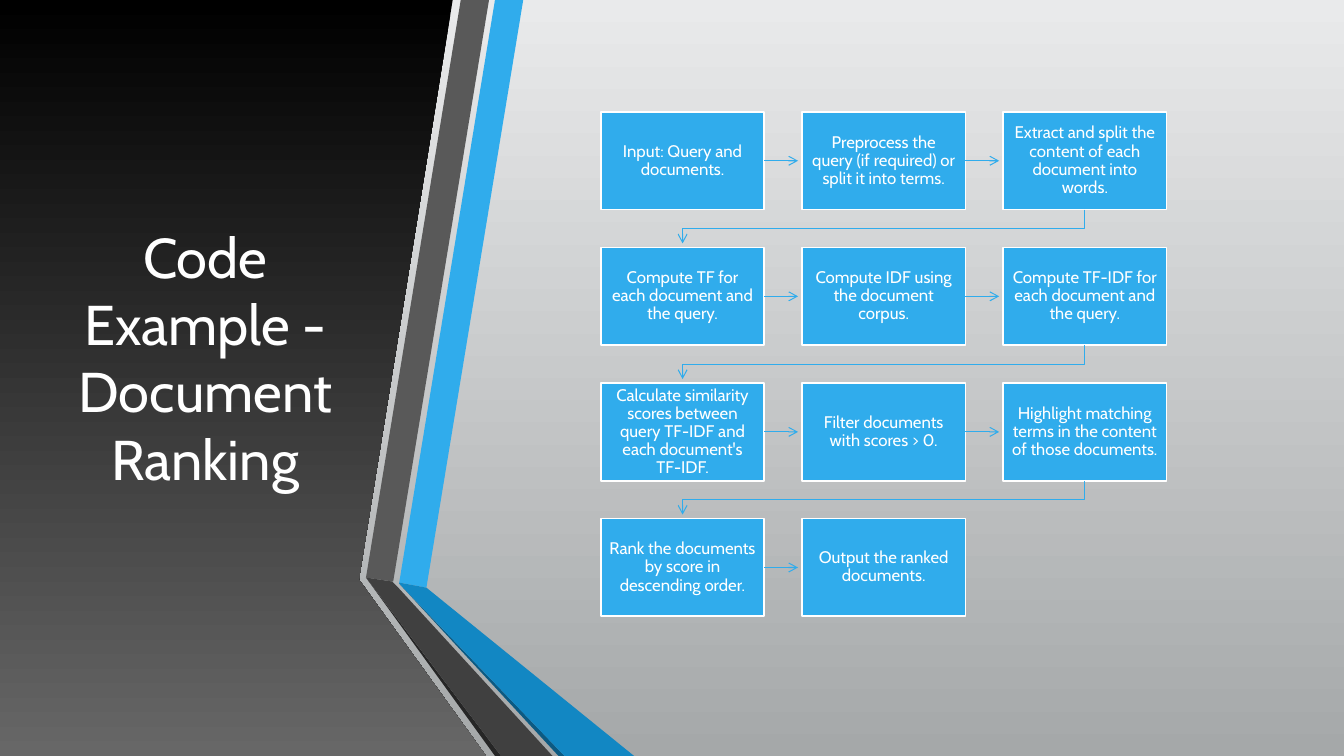
from lxml import etree
from pptx import Presentation, util as u
from pptx.dml import color
from pptx.enum import shapes, text
from pptx.oxml import ns

WIDTH, HEIGHT = 13.33, 7.5
FONT, BLUE, WHITE = "Cabin", "30ACEC", "FFFFFF"
LEFT, TOP = 5.96, 1.11
BOX_WIDTH, BOX_HEIGHT = 1.62, 0.97
COLUMN_STEP, ROW_STEP = 1.995, 1.345
COLUMNS = 3
ARROW_GAP = 0.04

STEPS = [
    "Input: Query and documents.",
    "Preprocess the query (if required) or split it into terms.",
    "Extract and split the content of each document into words.",
    "Compute TF for each document and the query.",
    "Compute IDF using the document corpus.",
    "Compute TF-IDF for each document and the query.",
    "Calculate similarity scores between query TF-IDF and each document's TF-IDF.",
    "Filter documents with scores > 0.",
    "Highlight matching terms in the content of those documents.",
    "Rank the documents by score in descending order.",
    "Output the ranked documents.",
]

RIBBONS = [
    (BLUE, [(3.96, 5.78), (4.23, 5.83), (5.19, 0), (4.91, 0)]),
    ("595959", [(4.85, 0), (4.57, 0), (3.63, 5.73), (3.9, 5.77)]),
    ("262626", [(3.63, 5.73), (4.91, 7.5), (4.97, 7.5)]),
    ("0C5A82", [(3.96, 5.79), (5.54, 7.5), (5.6, 7.5)]),
    ("1287C3", [(3.96, 5.79), (5.6, 7.5), (6.29, 7.5), (4.23, 5.83), (3.96, 5.78)]),
    ("404040", [(5.48, 7.5), (3.95, 5.83), (3.89, 5.77), (3.63, 5.73), (4.97, 7.5)]),
]
PANEL = [(0, 0), (4.49, 0), (3.56, 5.75), (4.82, 7.5), (0, 7.5)]


def rgb(value):
    """Turn a hex string into a colour."""
    return color.RGBColor.from_string(value)


def fade(fill, top, bottom):
    """Fill with a vertical gradient."""
    fill.gradient()
    fill.gradient_angle = 270
    for stop, value in zip(fill.gradient_stops, (top, bottom)):
        stop.color.rgb = rgb(value)


def add_outline(page, points, close=True):
    """Add a freeform through points given in inches."""
    corners = [(u.Inches(x), u.Inches(y)) for x, y in points]
    builder = page.shapes.build_freeform(*corners[0])
    builder.add_line_segments(corners[1:], close=close)
    outline = builder.convert_to_shape()
    outline.shadow.inherit = False
    outline.line.fill.background()
    return outline


def write(shape, words, size, inset):
    """Put centred white text in a shape."""
    frame = shape.text_frame
    frame.word_wrap = True
    frame.vertical_anchor = text.MSO_ANCHOR.MIDDLE
    frame.margin_left = frame.margin_right = u.Inches(inset)
    frame.margin_top = frame.margin_bottom = u.Inches(inset)
    frame.text = words
    para = frame.paragraphs[0]
    para.alignment = text.PP_ALIGN.CENTER
    span = para.runs[0]
    span.font.name = FONT
    span.font.size = u.Pt(size)
    span.font.color.rgb = rgb(WHITE)
    return para


def style_arrow(shape):
    """Give a path a thin blue line with an open arrowhead."""
    shape.line.color.rgb = rgb(BLUE)
    shape.line.width = u.Pt(0.75)
    etree.SubElement(shape.line._get_or_add_ln(), ns.qn("a:tailEnd"), type="arrow")


def box_corner(index):
    """Find the left and top of a step in the grid."""
    row, column = divmod(index, COLUMNS)
    return LEFT + column * COLUMN_STEP, TOP + row * ROW_STEP


def add_step(page, index, words):
    """Add one step box."""
    left, top = box_corner(index)
    box = page.shapes.add_shape(
        shapes.MSO_SHAPE.RECTANGLE, u.Inches(left), u.Inches(top),
        u.Inches(BOX_WIDTH), u.Inches(BOX_HEIGHT))
    box.shadow.inherit = False
    box.fill.solid()
    box.fill.fore_color.rgb = rgb(BLUE)
    box.line.color.rgb = rgb(WHITE)
    box.line.width = u.Pt(1.25)
    write(box, words, 12, 0.08).line_spacing = 0.9


def add_arrow(page, index):
    """Lead from one step to the next, bending at the end of a row."""
    left, top = box_corner(index)
    next_left, next_top = box_corner(index + 1)
    if next_top == top:
        middle = u.Inches(top + BOX_HEIGHT / 2)
        arrow = page.shapes.add_connector(
            shapes.MSO_CONNECTOR.STRAIGHT, u.Inches(left + BOX_WIDTH), middle,
            u.Inches(next_left - ARROW_GAP), middle)
        etree.SubElement(arrow._element.spPr, ns.qn("a:effectLst"))
    else:
        start, end = left + BOX_WIDTH / 2, next_left + BOX_WIDTH / 2
        bottom = top + BOX_HEIGHT
        bend = (bottom + next_top) / 2
        arrow = add_outline(page, [(start, bottom), (start, bend), (end, bend),
                                   (end, next_top - ARROW_GAP)], close=False)
        arrow.fill.background()
    style_arrow(arrow)


def add_title(page, words):
    """Add the title on the dark panel."""
    box = page.shapes.add_textbox(
        u.Inches(0.59), u.Inches(HEIGHT * 0.1), u.Inches(2.89), u.Inches(5.58))
    write(box, words, 40, 0.1)


def main():
    """Build the slide and save it."""
    deck = Presentation()
    deck.slide_width, deck.slide_height = u.Inches(WIDTH), u.Inches(HEIGHT)
    page = deck.slides.add_slide(deck.slide_layouts[6])
    fade(page.background.fill, "E9EAEB", "A5A8A9")
    fade(add_outline(page, PANEL).fill, "000000", "676767")
    add_title(page, "Code Example - Document Ranking")
    for value, points in RIBBONS:
        ribbon = add_outline(page, points)
        ribbon.fill.solid()
        ribbon.fill.fore_color.rgb = rgb(value)
    for index, words in enumerate(STEPS):
        add_step(page, index, words)
    for index in range(len(STEPS) - 1):
        add_arrow(page, index)
    deck.save("out.pptx")


if __name__ == "__main__":
    main()
